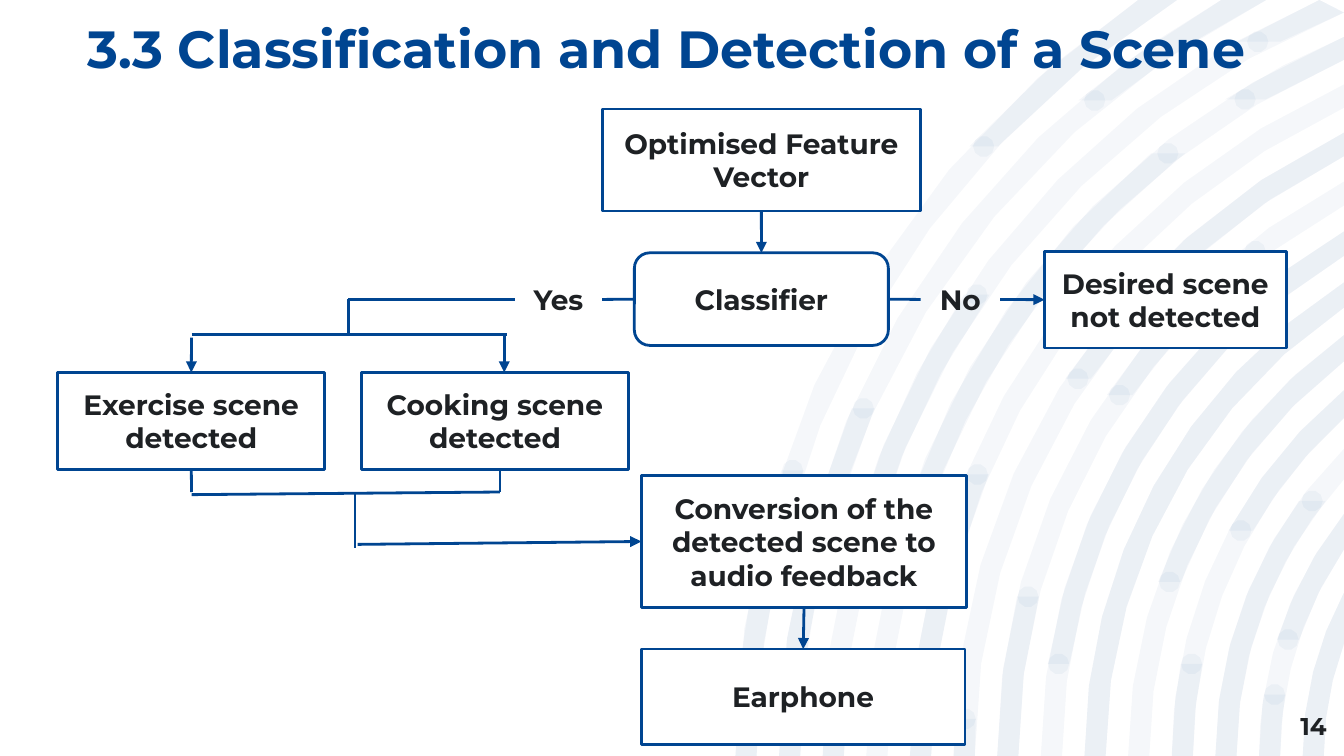
from collections import namedtuple
from math import acos, asin, ceil, cos, pi, sin

from pptx import Presentation
from pptx.dml.color import RGBColor
from pptx.enum.shapes import MSO_CONNECTOR as Link, MSO_SHAPE as Preset
from pptx.enum.text import MSO_ANCHOR as Anchor, MSO_AUTO_SIZE as Fit, PP_ALIGN as Align
from pptx.oxml.ns import qn
from pptx.oxml.xmlchemy import OxmlElement
from pptx.util import Cm, Pt

# Boxes are in centimetres
Box = namedtuple("Box", "left top width height")
PAGE = Box(0, 0, 25.4, 14.29)
BLUE, INK, WHITE = "004591", "1E2124", "FFFFFF"
FONT = "Montserrat"

# Ring pattern: radii, and arcs as (ring, lower end, upper end)
RING_COUNT, OUTER_RADIUS, INNERMOST_RADIUS, HALF_BAND = 14, 17.22, 6.5, 0.2
RING_STEP = (OUTER_RADIUS - INNERMOST_RADIUS) / (RING_COUNT - 1)
CENTRE_OFFSET = 5.72  # ring centre, right of the page edge
CHORD_ANGLE = 0.14
FOOT, EDGE = "foot", "edge"
ARCS = [
    (0, FOOT, 8.89), (0, 2.77, EDGE), (1, FOOT, 7.72), (1, 1.9, EDGE),
    (2, FOOT, 12.65), (2, 10.29, 5.57), (2, 0.79, EDGE), (3, 9.47, 2.9),
    (3, 1.88, EDGE), (4, FOOT, 8.97), (5, FOOT, 13.59), (5, 7.16, EDGE),
    (6, FOOT, 11.28), (6, 7.47, 4.75), (7, 12.55, EDGE), (8, FOOT, EDGE),
    (9, 11, EDGE), (10, FOOT, 12.55), (10, 10.03, EDGE), (11, FOOT, 9.47),
    (12, FOOT, 13.13), (12, 12.09, EDGE), (13, FOOT, EDGE),
]


def colour(hex_code):
    return RGBColor.from_string(hex_code)


def place(shape, box):
    shape.left, shape.top, shape.width, shape.height = map(Cm, box)


def write(shape, text, size, hex_code, align, anchor, margin=None):
    frame = shape.text_frame
    frame.word_wrap = True
    frame.auto_size = Fit.NONE
    frame.vertical_anchor = anchor
    if margin is not None:
        frame.margin_left = frame.margin_right = Cm(margin)
        frame.margin_top = frame.margin_bottom = Cm(margin)
    paragraph = frame.paragraphs[0]
    paragraph.alignment = align
    run = paragraph.add_run()
    run.text = text
    run.font.name, run.font.size, run.font.bold = FONT, Pt(size), True
    run.font.color.rgb = colour(hex_code)
    return paragraph


def add_rings(slide, box):
    centre_x, centre_y = box.left + box.width + CENTRE_OFFSET, box.top + box.height

    def middle(ring):
        return OUTER_RADIUS - ring * RING_STEP - HALF_BAND

    def angle_at(radius, y):
        if y == FOOT:
            return 0
        if y == EDGE:  # where the circle leaves the page
            return min(acos(CENTRE_OFFSET / radius), asin(min(1, box.height / radius)))
        return asin((box.height - y) / radius)

    def point(radius, angle):
        return centre_x - radius * cos(angle), centre_y - radius * sin(angle)

    def curve(radius, low, high):
        start, end = angle_at(radius, low), angle_at(radius, high)
        count = ceil(abs(end - start) / CHORD_ANGLE)
        return [point(radius, start + (end - start) * i / count) for i in range(count + 1)]

    def band(ring, low, high):
        radius = middle(ring)
        return curve(radius + HALF_BAND, low, high) + curve(radius - HALF_BAND, high, low)

    def dot(ring, y):
        radius = middle(ring)
        x, y = point(radius, angle_at(radius, y))
        turns = [pi * i / 5 for i in range(10)]
        return [(x + HALF_BAND * cos(turn), y + HALF_BAND * sin(turn)) for turn in turns]

    def draw(outlines):
        builder = None
        for outline in outlines:
            points = [(Cm(x), Cm(y)) for x, y in outline]
            if builder is None:
                builder = slide.shapes.build_freeform(*points[0])
            else:
                builder.move_to(*points[0])
            builder.add_line_segments(points[1:], close=True)
        pattern = builder.convert_to_shape()
        pattern.shadow.inherit = False
        pattern.line.fill.background()
        pattern.fill.solid()
        pattern.fill.fore_color.rgb = colour(BLUE)
        alpha = OxmlElement("a:alpha")
        alpha.set("val", "4000")
        pattern.element.spPr.find(qn("a:solidFill"))[0].append(alpha)

    draw([band(ring, FOOT, EDGE) for ring in range(RING_COUNT)])
    draw([band(*arc) for arc in ARCS])
    # A dot at every free arc end
    draw([dot(ring, y) for ring, *ends in ARCS for y in ends if y not in (FOOT, EDGE)])


def add_title(slide, box):
    title = slide.shapes.title
    place(title, box)
    heading = write(title, "3.3 Classification and Detection of a Scene", 28, BLUE,
                    Align.LEFT, Anchor.BOTTOM, 0)
    heading.line_spacing = 0.9
    title.element.getparent().append(title.element)  # in front of the rings


def add_page_number(slide, box):
    number = slide.shapes.add_textbox(*map(Cm, box))
    write(number, "14", 13, INK, Align.RIGHT, Anchor.MIDDLE, 0)


def add_flowchart(slide, box):
    def inside(x, y):
        return Cm(box.left + x), Cm(box.top + y)

    def step(text, x, y, width, height, preset=Preset.RECTANGLE):
        shape = slide.shapes.add_shape(preset, *inside(x, y), Cm(width), Cm(height))
        shape.shadow.inherit = False
        shape.fill.solid()
        shape.fill.fore_color.rgb = colour(WHITE)
        shape.line.color.rgb = colour(BLUE)
        shape.line.width = Pt(1.5)
        write(shape, text, 15, INK, Align.CENTER, Anchor.MIDDLE)
        return shape

    def answer(text, x, y, width):
        label = slide.shapes.add_textbox(*inside(x, y), Cm(width), Cm(0.89))
        write(label, text, 15, INK, Align.CENTER, Anchor.TOP)
        label.text_frame.auto_size = Fit.SHAPE_TO_FIT_TEXT

    def link(start, end, arrow=False):
        """Each end is a point (x, y) or a joint (step, side)."""
        joined = [not isinstance(e[0], (int, float)) for e in (start, end)]
        points = [inside(0, 0) if j else inside(*e) for j, e in zip(joined, (start, end))]
        line = slide.shapes.add_connector(Link.STRAIGHT, *points[0], *points[1])
        if joined[0]:
            line.begin_connect(*start)
        if joined[1]:
            line.end_connect(*end)
        line.line.color.rgb = colour(BLUE)
        line.line.width = Pt(1.5)
        properties = line.element.spPr
        if arrow:
            head = OxmlElement("a:tailEnd")
            head.set("type", "triangle")
            properties.find(qn("a:ln")).append(head)
        properties.append(OxmlElement("a:effectLst"))

    # Steps and answers
    vector = step("Optimised Feature Vector", 10.29, 0, 6.02, 1.93)
    classifier = step("Classifier", 10.9, 2.72, 4.8, 1.75, Preset.ROUNDED_RECTANGLE)
    undetected = step("Desired scene not detected", 18.65, 2.69, 4.57, 1.83)
    exercise = step("Exercise scene detected", 0, 4.98, 5.05, 1.83)
    step("Cooking scene detected", 5.74, 4.98, 5.05, 1.83)
    conversion = step("Conversion of the detected scene to audio feedback",
                      11.03, 6.93, 6.15, 2.49)
    earphone = step("Earphone", 11.03, 10.21, 6.12, 1.8)
    answer("No", 16.31, 3.15, 1.5)
    answer("Yes", 8.64, 3.15, 1.65)

    # Classifier and its "No" branch
    link((vector, 2), (classifier, 0), arrow=True)
    link((classifier, 3), (16.31, 3.6))
    link((17.81, 3.6), (undetected, 1), arrow=True)
    # "Yes" branch, split over two scenes
    link((classifier, 1), (10.29, 3.6))
    link((8.64, 3.6), (5.49, 3.6))
    link((5.49, 3.6), (5.49, 4.26))
    link((2.53, 4.26), (8.49, 4.26))
    link((2.53, 4.32), (exercise, 0), arrow=True)
    link((8.44, 4.26), (8.44, 4.98), arrow=True)
    # Both scenes lead to the audio feedback
    link((exercise, 2), (2.53, 7.24))
    link((8.36, 6.81), (8.36, 7.24))
    link((2.53, 7.29), (8.36, 7.24))
    link((5.62, 7.26), (5.62, 8.3))
    link((5.67, 8.23), (conversion, 1), arrow=True)
    link((conversion, 2), (earphone, 0), arrow=True)


def main():
    deck = Presentation()
    deck.slide_width, deck.slide_height = Cm(PAGE.width), Cm(PAGE.height)
    slide = deck.slides.add_slide(deck.slide_layouts.get_by_name("Title Only"))
    add_rings(slide, PAGE)
    add_title(slide, Box(1.65, 0.41, 21.9, 1.09))
    add_page_number(slide, Box(23.55, 13.18, 1.52, 1.09))
    add_flowchart(slide, Box(1.09, 2.06, 23.22, 12.01))
    deck.save("out.pptx")


if __name__ == "__main__":
    main()
